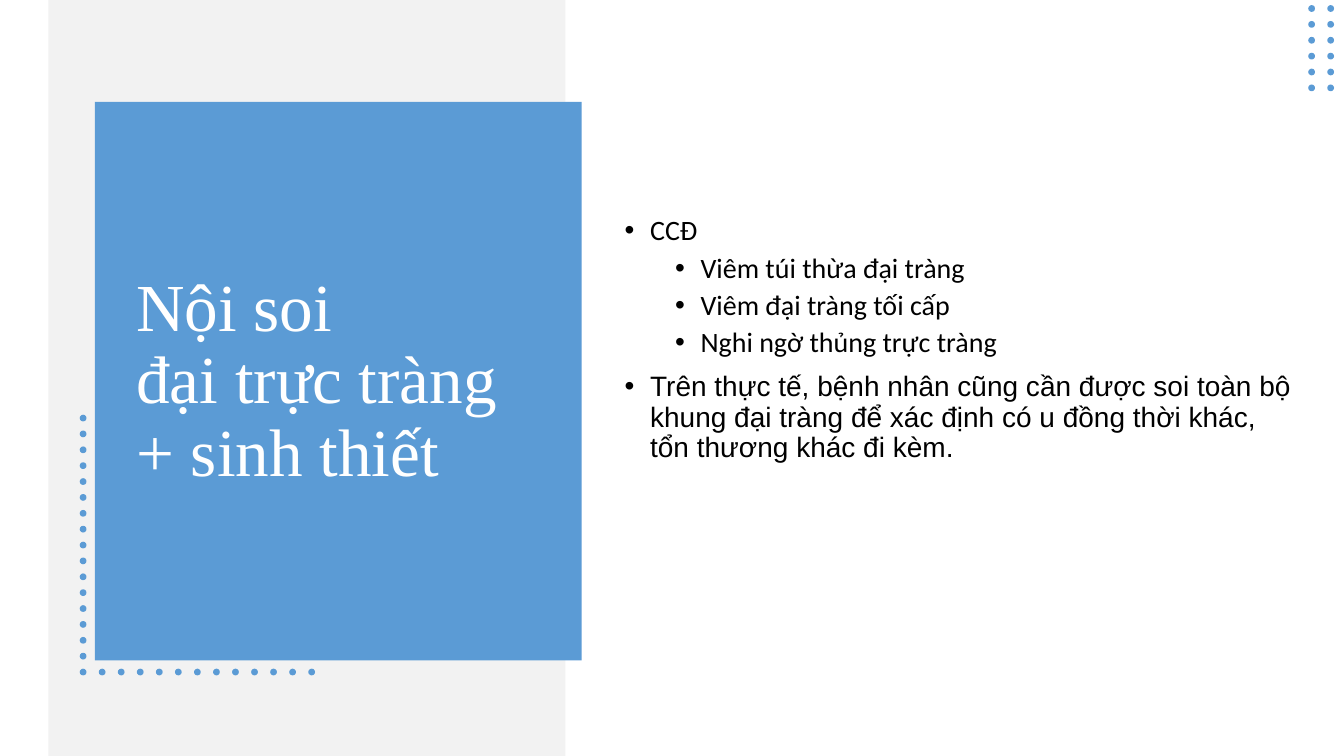
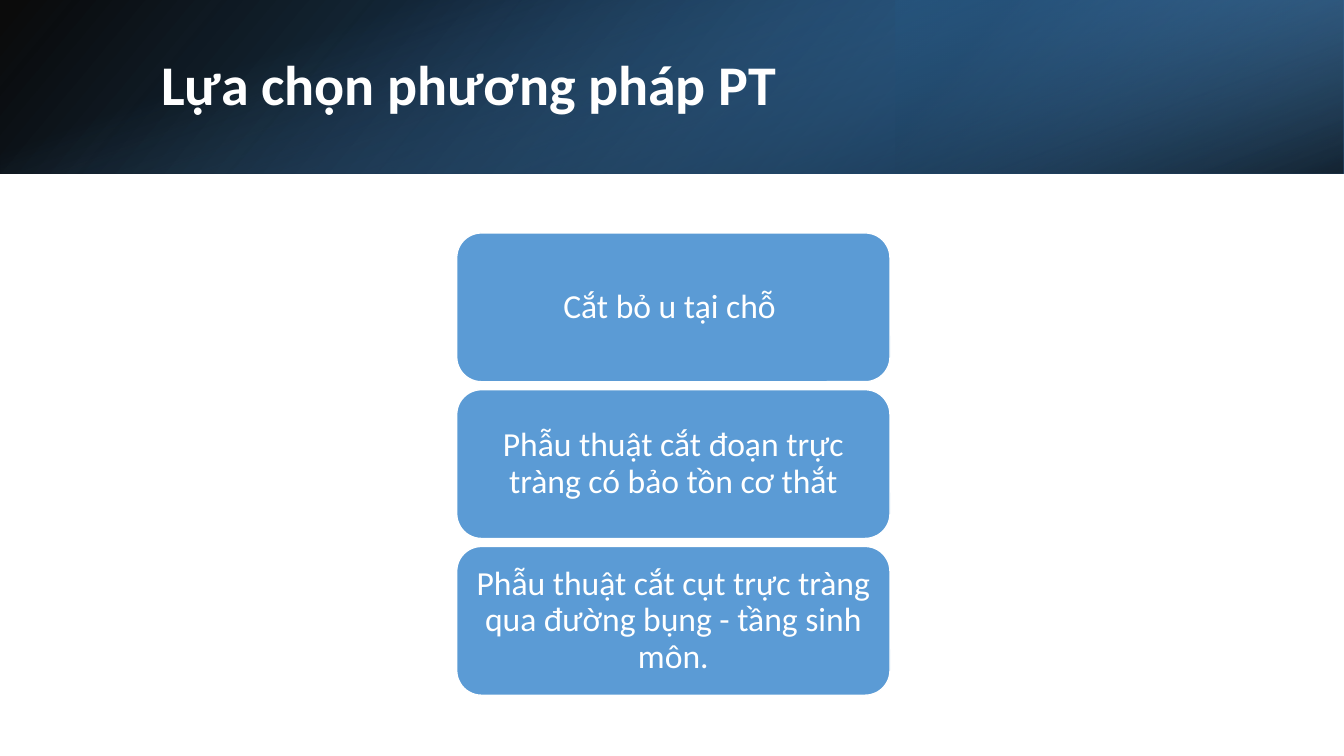
from pptx import Presentation
from pptx.dml.color import RGBColor
from pptx.enum import shapes, text
from pptx.oxml import parse_xml
from pptx.oxml.ns import nsdecls
from pptx.util import Cm, Pt

# Shared look
BLUE = RGBColor(0x5B, 0x9B, 0xD5)
MID_BLUE = RGBColor(0x2E, 0x75, 0xB6)
NAVY = RGBColor(0x1F, 0x4E, 0x79)
GREY = RGBColor(0xF2, 0xF2, 0xF2)
WHITE = RGBColor(0xFF, 0xFF, 0xFF)
BLACK = RGBColor(0, 0, 0)
SANS, ARIAL, SERIF = "Calibri", "Arial", "Times New Roman"
WIDTH, HEIGHT = 33.87, 19.05
LINE_SPACING = 0.9
NBSP = chr(160)

# Dot grid
DOT, DOT_DX, DOT_DY = 0.17, 0.48, 0.4

# Slide 2 bands and cards
BANNER_HEIGHT = 4.37
CARD_LEFT, CARD_TOP, CARD_WIDTH, CARD_HEIGHT = 11.51, 5.87, 10.92, 3.75
CARD_STEP = 3.95

BULLETS = [
    (0, "CCĐ", SANS),
    (1, "Viêm túi thừa đại tràng", SANS),
    (1, "Viêm đại tràng tối cấp", SANS),
    (1, "Nghi ngờ thủng trực tràng", SANS),
    (0, "Trên thực tế, bệnh nhân cũng cần được soi toàn bộ khung đại tràng "
        "để xác định có u đồng thời khác, tổn thương khác đi kèm.", ARIAL),
]
METHODS = [
    "Cắt bỏ u tại chỗ ",
    "Phẫu thuật cắt đoạn trực tràng có bảo tồn cơ thắt",
    "Phẫu thuật cắt cụt trực tràng qua đường bụng - tầng sinh môn.",
]


def add_block(page, kind, left, top, width, height, color=BLUE):
    """Add a plain filled shape without outline or shadow."""
    block = page.shapes.add_shape(kind, Cm(left), Cm(top), Cm(width), Cm(height))
    block.shadow.inherit = False
    block.fill.solid()
    block.fill.fore_color.rgb = color
    block.line.fill.background()
    return block


def add_dots(page, left, top, cells):
    for column, row in cells:
        add_block(page, shapes.MSO_SHAPE.OVAL, left + column * DOT_DX,
                  top + row * DOT_DY, DOT, DOT)


def add_gradient_layer(page, left, top, width, height, stops, angle,
                       rotation=0, flipped=False):
    """Stops are (position %, colour, opacity %)."""
    layer = add_block(page, shapes.MSO_SHAPE.RECTANGLE, left, top, width, height)
    layer.rotation = rotation
    properties = layer.element.spPr
    if flipped:
        properties.xfrm.set("flipH", "1")
    stop_xml = "".join(
        f'<a:gs pos="{position * 1000}"><a:srgbClr val="{color}">'
        f'<a:alpha val="{opacity * 1000}"/></a:srgbClr></a:gs>'
        for position, color, opacity in stops)
    gradient = parse_xml(
        f'<a:gradFill {nsdecls("a")} rotWithShape="1"><a:gsLst>{stop_xml}</a:gsLst>'
        f'<a:lin ang="{angle * 60000}" scaled="0"/></a:gradFill>')
    properties.replace(properties.solidFill, gradient)


def style_paragraph(para, font, size, color, align, bold=False):
    para.alignment = align
    para.line_spacing = LINE_SPACING
    para.font.name = font
    para.font.size = Pt(size)
    para.font.bold = bold
    para.font.color.rgb = color


def place_placeholder(box, left, top, width, height):
    """Move a placeholder and bring it in front of the decoration."""
    box.left, box.top, box.width, box.height = Cm(left), Cm(top), Cm(width), Cm(height)
    box.element.getparent().append(box.element)
    frame = box.text_frame
    frame.word_wrap = True
    frame.auto_size = text.MSO_AUTO_SIZE.NONE
    frame.vertical_anchor = text.MSO_ANCHOR.MIDDLE
    return frame


def set_title(page, wording, area, font, size, bold=False):
    frame = place_placeholder(page.shapes.title, *area)
    frame.text = wording
    style_paragraph(frame.paragraphs[0], font, size, WHITE, text.PP_ALIGN.LEFT, bold)


def set_bullets(box, items, area):
    frame = place_placeholder(box, *area)
    for index, (level, wording, font) in enumerate(items):
        para = frame.paragraphs[0] if index == 0 else frame.add_paragraph()
        para.text = wording
        para.level = level
        properties = para._p.get_or_add_pPr()
        properties.set("marL", str(Cm(0.64 + 1.27 * level)))
        properties.set("indent", str(Cm(-0.64)))
        properties.append(parse_xml(f'<a:buFont {nsdecls("a")} typeface="Arial"/>'))
        properties.append(parse_xml(f'<a:buChar {nsdecls("a")} char="•"/>'))
        style_paragraph(para, font, 20, BLACK, text.PP_ALIGN.LEFT)
        para.space_before = Pt(0 if index == 0 else 5 if level else 10)


def add_card(page, top, wording):
    card = add_block(page, shapes.MSO_SHAPE.ROUNDED_RECTANGLE, CARD_LEFT, top,
                     CARD_WIDTH, CARD_HEIGHT)
    card.line.color.rgb = WHITE
    card.line.width = Pt(1)
    frame = card.text_frame
    frame.word_wrap = True
    frame.vertical_anchor = text.MSO_ANCHOR.MIDDLE
    # The rounded corners already add 0.18 cm of inset
    frame.margin_left = frame.margin_right = Cm(0.25)
    frame.text = wording
    style_paragraph(frame.paragraphs[0], SANS, 24, WHITE, text.PP_ALIGN.CENTER)


def build_endoscopy(deck):
    page = deck.slides.add_slide(deck.slide_layouts[1])
    # Panels
    add_block(page, shapes.MSO_SHAPE.RECTANGLE, 1.22, 0, 13.03, HEIGHT, GREY)
    add_block(page, shapes.MSO_SHAPE.RECTANGLE, 2.39, 2.57, 12.27, 14.07)
    # Dotted corner and dotted block
    corner = [(0, row) for row in range(17)] + [(column, 16) for column in range(1, 13)]
    add_dots(page, 2.01, 10.45, corner)
    add_dots(page, 32.97, 0.13, [(column, row) for row in range(6) for column in range(2)])
    # Text
    set_title(page, f"Nội soi đại{NBSP}trực tràng +{NBSP}sinh thiết",
              (3.18, 3.68, 10.52, 11.89), SERIF, 48)
    set_bullets(page.placeholders[1], BULLETS, (15.49, 3.3, 17.5, 10.54))


def build_methods(deck):
    page = deck.slides.add_slide(deck.slide_layouts[5])
    # Banner of three translucent layers
    add_gradient_layer(page, 0, 0, WIDTH, BANNER_HEIGHT,
                       [(0, BLACK, 96), (100, MID_BLUE, 100)], 140, flipped=True)
    add_gradient_layer(page, WIDTH * 2 / 3, 0, WIDTH / 3, BANNER_HEIGHT,
                       [(19, NAVY, 68), (100, BLUE, 79)], 320, 180, flipped=True)
    offset = (WIDTH - BANNER_HEIGHT) / 2
    add_gradient_layer(page, offset, -offset, BANNER_HEIGHT, WIDTH,
                       [(23, BLUE, 0), (99, BLACK, 74)], 340, 90)
    set_title(page, "Lựa chọn phương pháp PT", (3.81, 0.97, 27.89, 2.44),
              SANS, 40, bold=True)
    # Cards
    for index, wording in enumerate(METHODS):
        add_card(page, CARD_TOP + index * CARD_STEP, wording)


def main():
    deck = Presentation()
    deck.slide_width, deck.slide_height = Cm(WIDTH), Cm(HEIGHT)
    build_endoscopy(deck)
    build_methods(deck)
    deck.save("out.pptx")


if __name__ == "__main__":
    main()
